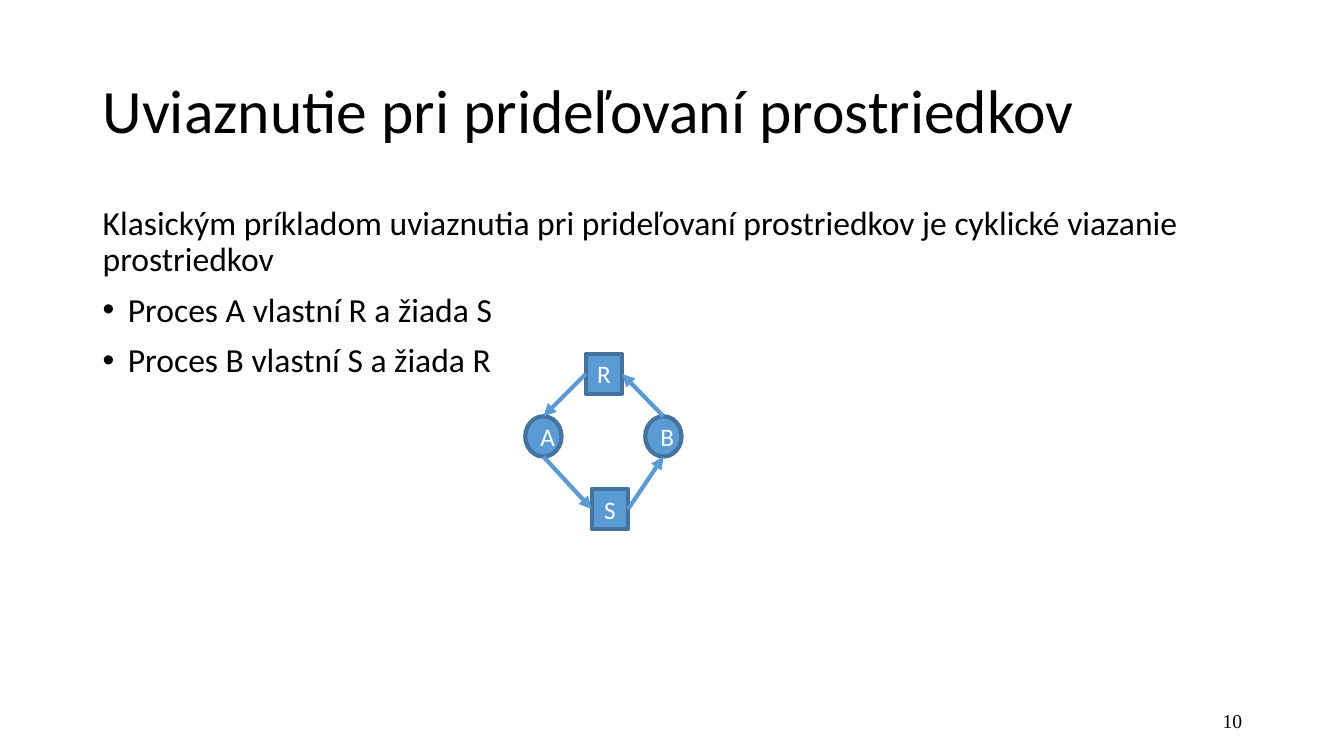
from lxml import etree
from pptx import Presentation
from pptx.dml.color import RGBColor
from pptx.enum.shapes import MSO_CONNECTOR, MSO_SHAPE
from pptx.enum.text import MSO_ANCHOR, PP_ALIGN
from pptx.oxml.ns import qn
from pptx.util import Inches, Pt

# Content
TITLE = "Uviaznutie pri prideľovaní prostriedkov"
INTRO = ("Klasickým príkladom uviaznutia pri prideľovaní prostriedkov "
         "je cyklické viazanie prostriedkov")
BULLETS = ["Proces A vlastní R a žiada S", "Proces B vlastní S a žiada R"]
PAGE_NUMBER = "10"

COLORS = {"text": "000000", "node": "5B9BD5", "outline": "43739E", "label": "FFFFFF"}
NODE_W, NODE_H = 0.36, 0.4
LINE_WIDTH = Pt(3)

# Processes are ellipses, resources are rectangles: kind, left, top
NODES = {
    "A": (MSO_SHAPE.OVAL, 5.21, 4.13),
    "S": (MSO_SHAPE.RECTANGLE, 5.87, 4.85),
    "B": (MSO_SHAPE.OVAL, 6.4, 4.13),
    "R": (MSO_SHAPE.RECTANGLE, 5.81, 3.51),
}
# Sides of a node as fractions of its width and height
SIDES = {"top": (0.5, 0), "bottom": (0.5, 1), "left": (0, 0.5), "right": (1, 0.5)}
ARROWS = [
    ("A", "bottom", "S", "left"),
    ("S", "right", "B", "bottom"),
    ("B", "top", "R", "right"),
    ("R", "left", "A", "top"),
]


def color(name):
    return RGBColor.from_string(COLORS[name])


def style_text(paragraph, size, font="Calibri", tone="text"):
    for run in paragraph.runs:
        run.font.size = Pt(size)
        run.font.name = font
        run.font.color.rgb = color(tone)


def add_text(slide, box, lines, size, font="Calibri", anchor=MSO_ANCHOR.MIDDLE):
    frame = slide.shapes.add_textbox(*map(Inches, box)).text_frame
    frame.word_wrap = True
    frame.vertical_anchor = anchor
    frame.text = "\n".join(lines)
    for paragraph in frame.paragraphs:
        style_text(paragraph, size, font)
    return frame.paragraphs


def add_bullet(paragraph):
    props = paragraph._p.get_or_add_pPr()
    props.set("marL", str(Inches(0.25)))
    props.set("indent", str(-Inches(0.25)))
    etree.SubElement(props, qn("a:buFont")).set("typeface", "Arial")
    etree.SubElement(props, qn("a:buChar")).set("char", "•")


def add_node(slide, label):
    kind, left, top = NODES[label]
    node = slide.shapes.add_shape(kind, *map(Inches, (left, top, NODE_W, NODE_H)))
    node.shadow.inherit = False
    node.fill.solid()
    node.fill.fore_color.rgb = color("node")
    node.line.color.rgb = color("outline")
    node.line.width = LINE_WIDTH
    node.text_frame.text = label
    node.text_frame.vertical_anchor = MSO_ANCHOR.MIDDLE
    paragraph = node.text_frame.paragraphs[0]
    paragraph.alignment = PP_ALIGN.CENTER
    style_text(paragraph, 18, tone="label")


def side_point(label, side):
    _, left, top = NODES[label]
    across, down = SIDES[side]
    return Inches(left + across * NODE_W), Inches(top + down * NODE_H)


def add_arrow(slide, source, source_side, target, target_side):
    arrow = slide.shapes.add_connector(
        MSO_CONNECTOR.STRAIGHT,
        *side_point(source, source_side), *side_point(target, target_side))
    arrow.line.color.rgb = color("node")
    arrow.line.width = LINE_WIDTH
    etree.SubElement(arrow.line._get_or_add_ln(), qn("a:tailEnd")).set("type", "triangle")
    etree.SubElement(arrow._element.spPr, qn("a:effectLst"))


def main():
    prs = Presentation()
    prs.slide_width, prs.slide_height = Inches(13.33), Inches(7.5)
    slide = prs.slides.add_slide(prs.slide_layouts[6])

    # Page number and title
    number = add_text(slide, (9.42, 6.95, 3, 0.4), [PAGE_NUMBER], 14, "Times New Roman")
    number[0].alignment = PP_ALIGN.RIGHT
    title = add_text(slide, (0.92, 0.4, 11.5, 1.45), [TITLE], 44)
    title[0].line_spacing = 0.9

    # Body text
    body = add_text(slide, (0.92, 2, 11.5, 4.76), [INTRO, *BULLETS], 24,
                    anchor=MSO_ANCHOR.TOP)
    for paragraph in body:
        paragraph.line_spacing = 0.9
        paragraph.space_before = Pt(10)
    for paragraph in body[1:]:
        add_bullet(paragraph)

    # Cycle of processes and resources
    for label in NODES:
        add_node(slide, label)
    for ends in ARROWS:
        add_arrow(slide, *ends)

    prs.save("out.pptx")


if __name__ == "__main__":
    main()
